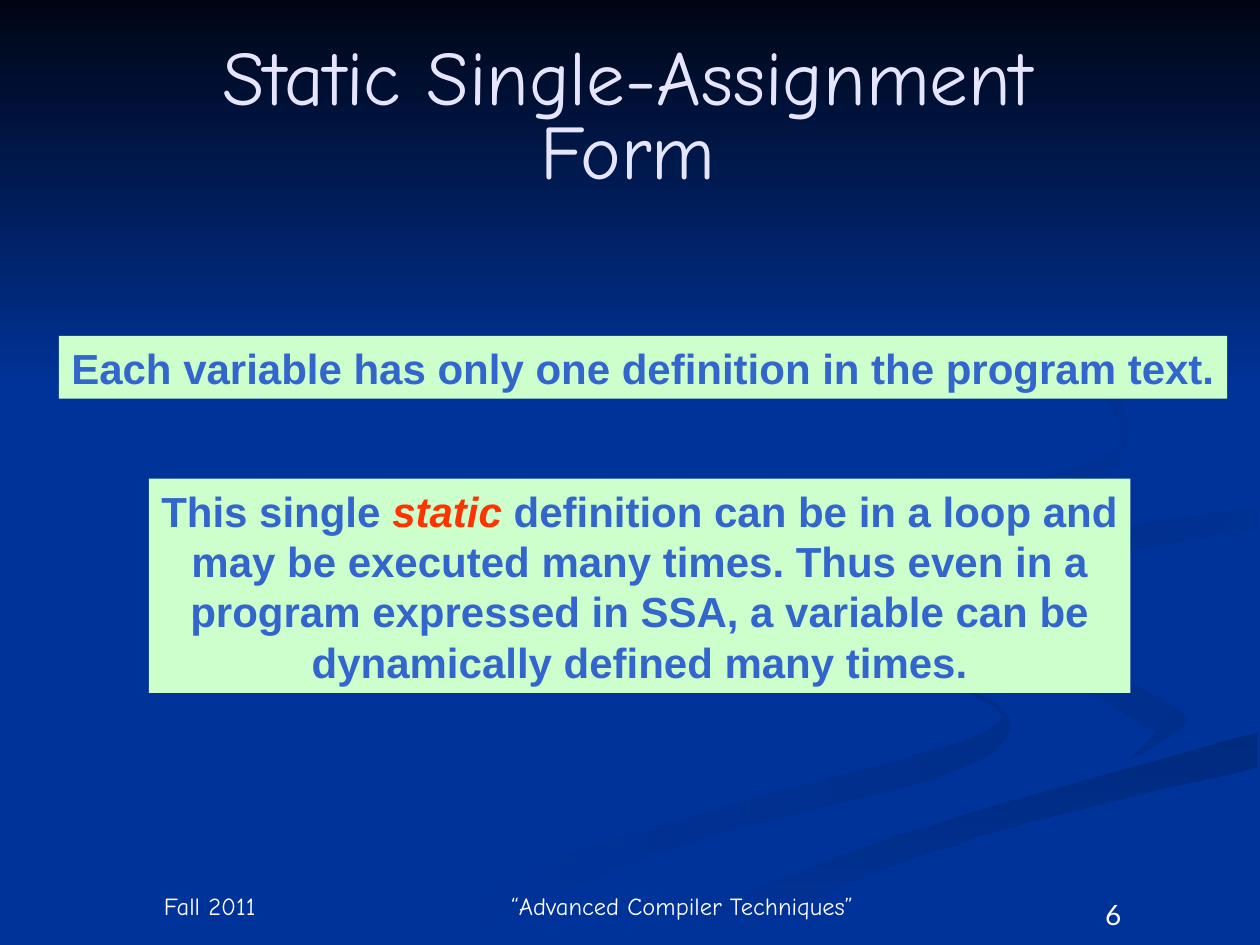
from dataclasses import dataclass

from pptx import Presentation
from pptx.dml.color import RGBColor
from pptx.enum.shapes import MSO_SHAPE
from pptx.enum.text import MSO_ANCHOR, PP_ALIGN
from pptx.util import Cm, Pt

BLUE = "003399"
WHITE = "FFFFFF"
PALE_GREEN = "CCFFCC"
TEXT_BLUE = "3366CC"
HIGHLIGHT = "FF3300"
HAND_FONT = "Comic Neue"
HUNDREDTH_INCH = Cm(2.54) / 100
CURVE_STEPS = 6

Point = tuple[float, float]


@dataclass
class Ribbon:
    """Smooth edges in hundredths of an inch, meeting at sharp corners."""
    edges: list[list[Point]]
    start_color: str = BLUE
    end_color: str = BLUE
    angle: int = 0


@dataclass
class Box:
    """A text area in centimetres."""
    left: float
    top: float
    width: float
    height: float


@dataclass
class Span:
    text: str
    color: str = TEXT_BLUE
    italic: bool = False


RIBBONS = [
    Ribbon([[(575, 459), (594, 485), (682, 519), (781, 553), (799, 585), (740, 618),
             (532, 674), (361, 749)],
            [(300, 749), (417, 690), (579, 639), (767, 587), (781, 556), (631, 505),
             (570, 472)]], BLUE, "002E8B", 0),
    Ribbon([[(724, 464), (758, 498), (905, 540), (943, 570), (894, 605)],
            [(918, 581), (838, 536), (746, 500)]], BLUE, "002E8B", 45),
    Ribbon([[(571, 749), (695, 692), (821, 651), (998, 609)],
            [(998, 581), (764, 647), (630, 693), (503, 749)]], "002A7D", BLUE, 90),
    Ribbon([[(477, 749), (619, 684), (780, 634), (926, 593), (943, 570), (871, 530),
             (759, 498), (725, 464), (742, 439), (874, 408), (999, 387)],
            [(999, 402), (850, 427), (781, 463), (832, 498), (999, 538)],
            [(999, 581), (764, 647), (630, 693), (503, 749)]]),
    Ribbon([[(998, 402), (850, 427), (781, 460), (826, 496)],
            [(805, 472), (843, 448), (998, 420)]], "002D86", BLUE, 45),
    Ribbon([[(762, 233), (864, 291), (894, 344), (855, 391), (683, 430), (593, 470),
             (622, 500)],
            [(580, 474), (589, 441), (704, 409), (861, 370), (889, 335), (846, 279)]],
           "002B82", BLUE, 45),
]


def rgb(color: str) -> RGBColor:
    return RGBColor.from_string(color)


def smooth(edge: list[Point]) -> list[Point]:
    """Return points along a Catmull-Rom curve through the edge."""
    padded = [edge[0], *edge, edge[-1]]
    curve = []
    for before, start, end, after in zip(padded, padded[1:], padded[2:], padded[3:]):
        for step in range(CURVE_STEPS):
            t = step / CURVE_STEPS
            curve.append(tuple(
                b + (c - a) * t / 2 + (2 * a - 5 * b + 4 * c - d) * t**2 / 2
                + (3 * b - a - 3 * c + d) * t**3 / 2
                for a, b, c, d in zip(before, start, end, after)))
    return [*curve, edge[-1]]


def paint(shape, start_color: str, end_color: str, angle: int = 0) -> None:
    """Fill without outline or shadow; the angle runs clockwise."""
    shape.shadow.inherit = False
    shape.line.fill.background()
    if start_color == end_color:
        shape.fill.solid()
        shape.fill.fore_color.rgb = rgb(start_color)
        return
    shape.fill.gradient()
    shape.fill.gradient_angle = -angle % 360
    for stop, color in zip(shape.fill.gradient_stops, (start_color, end_color)):
        stop.color.rgb = rgb(color)


def draw_ribbon(slide, ribbon: Ribbon) -> None:
    points = [point for edge in ribbon.edges for point in smooth(edge)]
    builder = slide.shapes.build_freeform(*points[0], scale=HUNDREDTH_INCH)
    builder.add_line_segments(points[1:], close=True)
    paint(builder.convert_to_shape(), ribbon.start_color, ribbon.end_color, ribbon.angle)


def add_text(slide, box: Box, lines: list[list[Span]], *, size: int, font: str,
             bold: bool = False, fill: str | None = None, wrap: bool = True,
             anchor: MSO_ANCHOR = MSO_ANCHOR.MIDDLE, line_spacing: float = 1.0) -> None:
    """Add centred lines, on a filled rectangle when a fill is given."""
    place = [Cm(value) for value in (box.left, box.top, box.width, box.height)]
    if fill:
        shape = slide.shapes.add_shape(MSO_SHAPE.RECTANGLE, *place)
        paint(shape, fill, fill)
    else:
        shape = slide.shapes.add_textbox(*place)
    frame = shape.text_frame
    frame.word_wrap = wrap
    frame.vertical_anchor = anchor
    for index, spans in enumerate(lines):
        paragraph = frame.add_paragraph() if index else frame.paragraphs[0]
        paragraph.alignment = PP_ALIGN.CENTER
        paragraph.line_spacing = line_spacing
        for span in spans:
            run = paragraph.add_run()
            run.text = span.text
            run.font.name = font
            run.font.size = Pt(size)
            run.font.bold = bold
            run.font.italic = span.italic
            run.font.color.rgb = rgb(span.color)


def main() -> None:
    presentation = Presentation()
    presentation.slide_width = Cm(25.4)
    presentation.slide_height = Cm(19.05)
    slide = presentation.slides.add_slide(presentation.slide_layouts[6])
    slide.background.fill.solid()
    slide.background.fill.fore_color.rgb = rgb(BLUE)
    for ribbon in RIBBONS:
        draw_ribbon(slide, ribbon)
    top_band = slide.shapes.add_shape(
        MSO_SHAPE.RECTANGLE, 0, 0, presentation.slide_width, Cm(7.82))
    paint(top_band, "000514", BLUE, 90)

    add_text(slide, Box(20.32, 17.96, 4.24, 1.02), [[Span("6", WHITE)]],
             size=16, font="Lato", anchor=MSO_ANCHOR.TOP)
    footers = [(Box(1.27, 17.78, 5.92, 0.9), "Fall 2011"),
               (Box(9.73, 17.78, 8.05, 0.9), "“Advanced Compiler Techniques”")]
    for box, text in footers:
        add_text(slide, box, [[Span(text, WHITE)]],
                 size=14, font=HAND_FONT, anchor=MSO_ANCHOR.BOTTOM)
    add_text(slide, Box(2.74, 0.84, 19.84, 3.18),
             [[Span("Static Single-Assignment Form", "E5E5FF")]],
             size=44, font=HAND_FONT, line_spacing=0.8)

    statements = [
        (Box(1.19, 6.77, 23.55, 1.27),
         [[Span("Each variable has only one definition in the program text.")]]),
        (Box(3, 9.65, 19.79, 4.32),
         [[Span("This single "), Span("static", HIGHLIGHT, italic=True),
           Span(" definition can be in a loop and")],
          [Span("may be executed many times. Thus even in a")],
          [Span("program expressed in SSA, a variable can be")],
          [Span("dynamically defined many times.")]]),
    ]
    for box, lines in statements:
        add_text(slide, box, lines, size=24, font="Arial", bold=True,
                 fill=PALE_GREEN, wrap=False)
    presentation.save("out.pptx")


if __name__ == "__main__":
    main()
